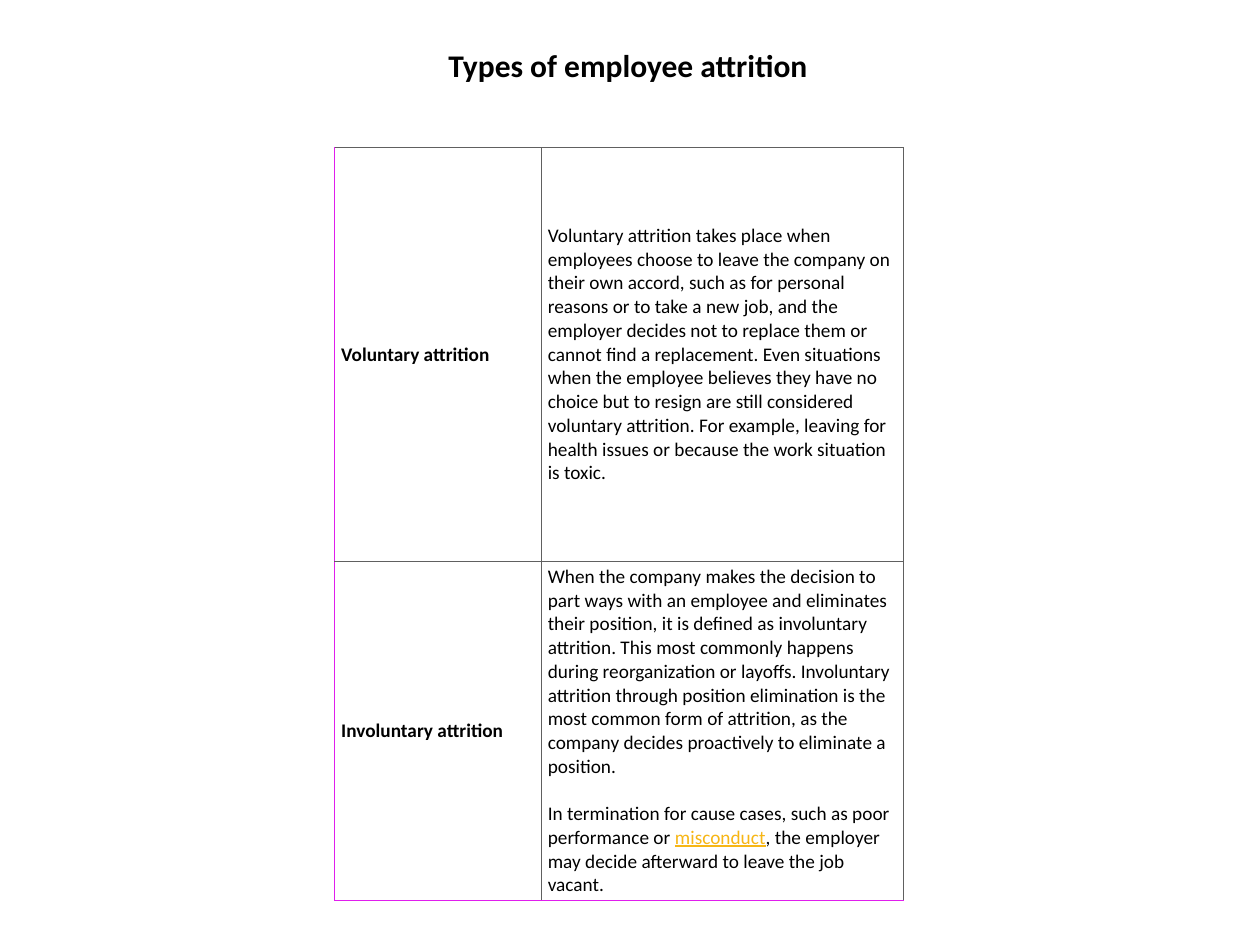
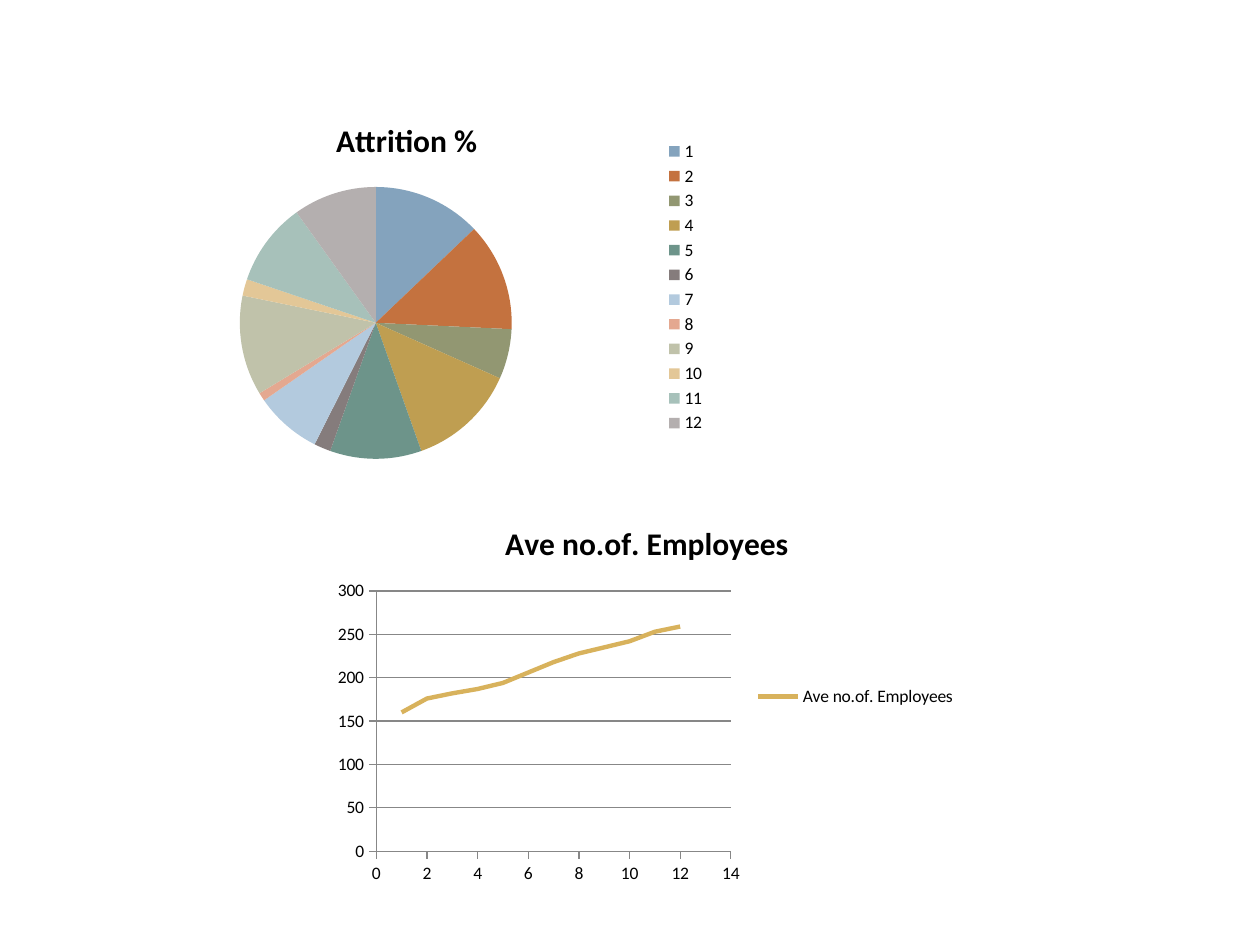
from lxml import etree
from pptx import Presentation
from pptx.chart.data import CategoryChartData, XyChartData
from pptx.dml.color import RGBColor
from pptx.enum.chart import XL_CHART_TYPE as ChartType, XL_LEGEND_POSITION as LegendSide
from pptx.enum.chart import XL_TICK_MARK as TickMark
from pptx.enum.text import MSO_ANCHOR as Anchor, PP_ALIGN as Align
from pptx.oxml.ns import qn
from pptx.util import Inches, Pt

FONT = "Calibri"
BLACK = RGBColor(0x00, 0x00, 0x00)
GOLD = RGBColor(0xF7, 0xB6, 0x15)
MAGENTA = RGBColor(0xE0, 0x1E, 0xED)
DARK_GRAY = RGBColor(0x60, 0x60, 0x60)
AXIS_GRAY = RGBColor(0x87, 0x87, 0x87)
TREND = RGBColor(0xD8, 0xB2, 0x5C)
SLICES = [RGBColor.from_string(code) for code in (
    "84A3BD", "C4723F", "929772", "BF9E51", "6D948A", "857C7C",
    "B3CADE", "E4A890", "C0C2AA", "E3C797", "A7C1BA", "B4AFAF")]
TITLE_SIZE, BODY_SIZE, CHART_SIZE = Pt(18), Pt(11), Pt(10)

deck = Presentation()
deck.slide_width, deck.slide_height = Inches(10), Inches(7.5)
COLUMN = deck.slide_width / 100   # one percent of the slide's width
ROW = deck.slide_height / 100     # one percent of the slide's height
BLANK = deck.slide_layouts[6]


def place(left, top, width, height):
    """Turn percentages of the slide into a position and a size."""
    return [round(share * unit) for share, unit in
            zip((left, top, width, height), (COLUMN, ROW, COLUMN, ROW))]


def write(para, text, size=BODY_SIZE, bold=False, color=BLACK, underline=False):
    span = para.add_run()
    span.text = text
    font = span.font
    font.name, font.size, font.bold, font.underline = FONT, size, bold, underline
    font.color.rgb = color


# Slide 1: the two types of attrition
page = deck.slides.add_slide(BLANK)
heading = page.shapes.add_textbox(*place(34.45, 4.2, 30.8, 5.33)).text_frame
heading.word_wrap = True
heading.paragraphs[0].alignment = Align.CENTER
write(heading.paragraphs[0], "Types of employee attrition", size=TITLE_SIZE, bold=True)

# Each type holds its name and its paragraphs, each a list of (text, format)
TYPES = [
    ("Voluntary attrition", [[(
        "Voluntary attrition takes place when employees choose to leave the company on "
        "their own accord, such as for personal reasons or to take a new job, and the "
        "employer decides not to replace them or cannot find a replacement. Even "
        "situations when the employee believes they have no choice but to resign are "
        "still considered voluntary attrition. For example, leaving for health issues or "
        "because the work situation is toxic.", {})]]),
    ("Involuntary attrition", [
        [("When the company makes the decision to part ways with an employee and "
          "eliminates their position, it is defined as involuntary attrition. This most "
          "commonly happens during reorganization or layoffs. Involuntary attrition "
          "through position elimination is the most common form of attrition, as the "
          "company decides proactively to eliminate a position.", {})],
        [("In termination for cause cases, such as poor performance or ", {}),
         ("misconduct", {"color": GOLD, "underline": True}),
         (", the employer may decide afterward to leave the job vacant.", {})]]),
]
COLUMN_SHARES, ROW_SHARES = (16.4, 28.75), (43.73, 35.9)

table = page.shapes.add_table(
    len(TYPES), 2, *place(26.58, 15.65, sum(COLUMN_SHARES), sum(ROW_SHARES))).table
table.first_row = table.horz_banding = False
for column, share in zip(table.columns, COLUMN_SHARES):
    column.width = round(share * COLUMN)
for row, share in zip(table.rows, ROW_SHARES):
    row.height = round(share * ROW)

for row_index, (name, paragraphs) in enumerate(TYPES):
    contents = [[[(name, {"bold": True})]], paragraphs]
    for column_index, content in enumerate(contents):
        cell = table.cell(row_index, column_index)
        cell.vertical_anchor = Anchor.MIDDLE
        cell.margin_left = cell.margin_right = Inches(0.05)
        cell.margin_top = cell.margin_bottom = Inches(0.03)

        # The left and bottom edges of the table are magenta
        edges = {
            "a:lnL": MAGENTA if column_index == 0 else DARK_GRAY,
            "a:lnR": DARK_GRAY,
            "a:lnT": DARK_GRAY,
            "a:lnB": MAGENTA if row_index == len(TYPES) - 1 else DARK_GRAY,
        }
        properties = cell._tc.get_or_add_tcPr()
        for tag, color in edges.items():
            edge = etree.SubElement(properties, qn(tag), w=str(Pt(0.75)))
            fill = etree.SubElement(edge, qn("a:solidFill"))
            etree.SubElement(fill, qn("a:srgbClr"), val=str(color))
        cell.fill.background()

        for index, spans in enumerate(content):
            frame = cell.text_frame
            para = frame.add_paragraph() if index else frame.paragraphs[0]
            para.space_before = Pt(13.4) if index else Pt(0)
            for text, options in spans:
                write(para, text, **options)

# Slide 2: attrition and headcount by month
page = deck.slides.add_slide(BLANK)
MONTHS = range(1, 13)
ATTRITION = (13, 13, 6, 13, 11, 2, 8, 1, 12, 2, 10, 10)
EMPLOYEES = (160, 176, 182, 187, 194, 206, 218, 228, 235, 242, 253, 259)

attrition_data = CategoryChartData()
attrition_data.categories = [str(month) for month in MONTHS]
attrition_data.add_series(" Attrition %", ATTRITION)

employee_data = XyChartData()
employee_series = employee_data.add_series("Ave no.of. Employees")
for month, employees in zip(MONTHS, EMPLOYEES):
    employee_series.add_data_point(month, employees)

charts = []
for kind, area, data in (
        (ChartType.PIE, (7, 10.4, 50, 40), attrition_data),
        (ChartType.XY_SCATTER_LINES_NO_MARKERS, (25.8, 53.1, 51.1, 41.2), employee_data)):
    chart = page.shapes.add_chart(kind, *place(*area), data).chart
    chart.font.name, chart.font.size = FONT, CHART_SIZE
    chart.font.color.rgb = BLACK
    chart.has_title = True
    write(chart.chart_title.text_frame.paragraphs[0], chart.plots[0].series[0].name,
          size=TITLE_SIZE, bold=True)
    chart.chart_title.include_in_layout = False
    chart.has_legend = True
    chart.legend.position = LegendSide.RIGHT
    chart.legend.include_in_layout = False
    charts.append(chart)
pie, trend = charts

pie.plots[0].vary_by_categories = True
for index, color in enumerate(SLICES):
    fill = pie.plots[0].series[0].points[index].format.fill
    fill.solid()
    fill.fore_color.rgb = color

trend.plots[0].vary_by_categories = False
line = trend.plots[0].series[0]
line.smooth = False
line.format.line.width = Pt(2.5)
line.format.line.color.rgb = TREND

trend.category_axis.has_major_gridlines = False
trend.value_axis.has_major_gridlines = True
trend.value_axis.major_gridlines.format.line.color.rgb = AXIS_GRAY
for axis, top, step in ((trend.category_axis, 14, 2), (trend.value_axis, 300, 50)):
    axis.minimum_scale, axis.maximum_scale, axis.major_unit = 0, top, step
    axis.major_tick_mark, axis.minor_tick_mark = TickMark.OUTSIDE, TickMark.NONE
    axis.format.line.color.rgb = AXIS_GRAY
    axis.tick_labels.number_format = "General"
    axis.tick_labels.number_format_is_linked = False

deck.save("out.pptx")
